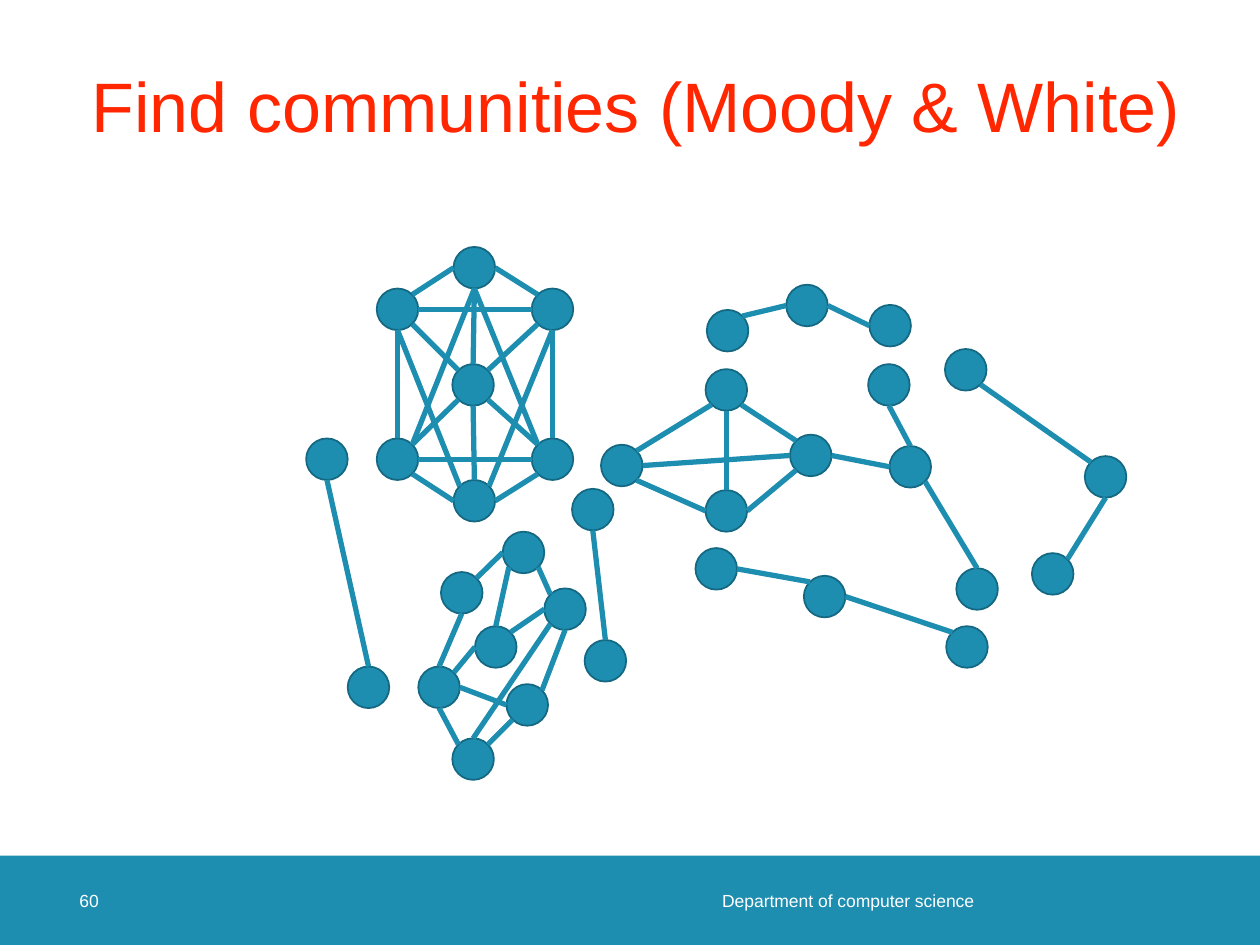
from dataclasses import dataclass
from math import sqrt
from typing import NamedTuple

from lxml import etree
from pptx import Presentation
from pptx.dml.color import RGBColor
from pptx.enum.shapes import MSO_CONNECTOR, MSO_SHAPE
from pptx.enum.text import MSO_ANCHOR, PP_ALIGN
from pptx.oxml.ns import qn
from pptx.util import Inches, Pt

STRAIGHT = MSO_CONNECTOR.STRAIGHT
RECTANGLE, OVAL = MSO_SHAPE.RECTANGLE, MSO_SHAPE.OVAL
MIDDLE = MSO_ANCHOR.MIDDLE
LEFT, RIGHT = PP_ALIGN.LEFT, PP_ALIGN.RIGHT


@dataclass(frozen=True)
class Theme:
    font: str = "Arial"
    teal: RGBColor = RGBColor(0x1D, 0x8D, 0xB0)
    dark_teal: RGBColor = RGBColor(0x15, 0x68, 0x82)
    red: RGBColor = RGBColor(0xFF, 0x26, 0x00)
    white: RGBColor = RGBColor(0xFF, 0xFF, 0xFF)
    title_size: int = 40
    footer_size: int = 10
    outline_width: int = 1
    edge_width: int = 3


THEME = Theme()
NODE_SIZE = 0.33
FOOTER_TOP, FOOTER_HEIGHT = 6.79, 0.71

# Compass points on a node's rim, as offsets from its centre in radii
DIAGONAL = 1 / sqrt(2)
RIM = {
    "N": (0, -1), "S": (0, 1), "W": (-1, 0), "E": (1, 0),
    "NW": (-DIAGONAL, -DIAGONAL), "NE": (DIAGONAL, -DIAGONAL),
    "SW": (-DIAGONAL, DIAGONAL), "SE": (DIAGONAL, DIAGONAL),
}


class Node(NamedTuple):
    left: float
    top: float

    def rim_point(self, side: str) -> tuple[float, float]:
        radius = NODE_SIZE / 2
        across, down = RIM[side]
        return self.left + radius * (1 + across), self.top + radius * (1 + down)


class Edge(NamedTuple):
    start: str
    start_side: str
    end: str
    end_side: str


class Community(NamedTuple):
    nodes: dict[str, Node]
    edges: list[Edge]


class Label(NamedTuple):
    text: str
    area: tuple[float, float, float, float]
    insets: tuple[float, float, float, float]
    size: int
    color: RGBColor
    align: PP_ALIGN = LEFT
    line_spacing: float = 1.0


def community(nodes: dict[str, tuple[float, float]], *edges: str) -> Community:
    """Each edge reads 'start side end side'."""
    return Community({name: Node(*place) for name, place in nodes.items()},
                     [Edge(*edge.split()) for edge in edges])


COMMUNITIES = [
    community(  # dense hexagon around a hub
        {"upper_left": (2.99, 2.29), "top": (3.6, 1.96), "upper_right": (4.22, 2.29),
         "hub": (3.59, 2.89), "lower_left": (2.99, 3.48), "lower_right": (4.22, 3.48),
         "bottom": (3.6, 3.81)},
        "upper_left NE top W", "upper_left E upper_right W", "upper_left SE hub NW",
        "upper_left S lower_left N", "lower_left NE hub SW", "hub NE upper_right SW",
        "top E upper_right NW", "upper_right S lower_right N", "lower_right NW hub SE",
        "lower_left E lower_right W", "lower_left SE bottom W", "lower_right SW bottom E",
        "bottom NE upper_right S", "bottom NW upper_left S", "top S lower_left NE",
        "top S lower_right NW", "hub S bottom N", "top S hub N"),
    community(  # looser group below the hexagon
        {"top": (3.99, 4.22), "upper_left": (3.5, 4.54), "upper_right": (4.32, 4.67),
         "middle": (3.77, 4.97), "lower_left": (3.32, 5.29), "lower_right": (4.02, 5.43),
         "bottom": (3.59, 5.86)},
        "lower_left N upper_left S", "upper_left NE top W", "top SE upper_right NW",
        "upper_right S lower_right NE", "lower_right SW bottom NE",
        "bottom N upper_right SW", "middle N top SW", "middle NE upper_right W",
        "lower_left NE middle W", "lower_left E lower_right W", "bottom NW lower_left S"),
    community(  # kite with a tail
        {"left": (4.77, 3.53), "top": (5.6, 2.93), "bottom": (5.6, 3.89),
         "right": (6.27, 3.45), "tail_top": (6.89, 2.89), "tail": (7.06, 3.54),
         "tail_end": (7.59, 4.51)},
        "left NE top SW", "left SE bottom W", "bottom N top S", "bottom E right SW",
        "top SE right NW", "left E right W", "right E tail W", "tail SE tail_end N",
        "tail_top S tail N"),
    community(  # lower chain
        {"first": (5.52, 4.35), "second": (6.38, 4.57), "third": (7.51, 4.97)},
        "first E second NW", "second E third NW"),
    community(  # upper chain
        {"first": (5.61, 2.46), "second": (6.24, 2.26), "third": (6.9, 2.42)},
        "first NE second W", "second E third W"),
    community(  # right chain
        {"first": (7.5, 2.77), "second": (8.61, 3.62), "third": (8.19, 4.39)},
        "second NW first SE", "third NE second S"),
    community({"upper": (2.43, 3.48), "lower": (2.76, 5.29)}, "upper S lower N"),
    community({"upper": (4.54, 3.88), "lower": (4.64, 5.08)}, "upper S lower N"),
]

LABELS = [
    Label("Department of computer science", (3.89, FOOTER_TOP, 4.04, FOOTER_HEIGHT),
          (0, 0, 0.2, 0), THEME.footer_size, THEME.white, RIGHT),
    Label("60", (0.63, FOOTER_TOP, 0.71, FOOTER_HEIGHT),
          (0, 0, 0, 0), THEME.footer_size, THEME.white),
    Label("Find communities (Moody & White)", (0.63, 0.24, 9.37, 1.26),
          (0.1, 0.05, 0.1, 0.05), THEME.title_size, THEME.red, line_spacing=0.9),
]


def draw_footer_band(slide) -> None:
    band = slide.shapes.add_shape(RECTANGLE, 0, Inches(FOOTER_TOP),
                                  Inches(10), Inches(FOOTER_HEIGHT))
    band.shadow.inherit = False
    band.fill.solid()
    band.fill.fore_color.rgb = THEME.teal
    band.line.fill.background()


def draw_label(slide, label: Label) -> None:
    box = slide.shapes.add_textbox(*map(Inches, label.area))
    frame = box.text_frame
    frame.word_wrap = True
    frame.vertical_anchor = MIDDLE
    (frame.margin_left, frame.margin_top,
     frame.margin_right, frame.margin_bottom) = map(Inches, label.insets)
    para = frame.paragraphs[0]
    para.alignment = label.align
    para.line_spacing = label.line_spacing
    span = para.add_run()
    span.text = label.text
    span.font.name = THEME.font
    span.font.size = Pt(label.size)
    span.font.color.rgb = label.color


def draw_node(slide, node: Node) -> None:
    circle = slide.shapes.add_shape(OVAL, Inches(node.left), Inches(node.top),
                                    Inches(NODE_SIZE), Inches(NODE_SIZE))
    circle.shadow.inherit = False
    circle.fill.solid()
    circle.fill.fore_color.rgb = THEME.teal
    circle.line.color.rgb = THEME.dark_teal
    circle.line.width = Pt(THEME.outline_width)


def draw_edge(slide, start: tuple[float, float], end: tuple[float, float]) -> None:
    line = slide.shapes.add_connector(STRAIGHT, *map(Inches, start + end))
    line.line.color.rgb = THEME.teal
    line.line.width = Pt(THEME.edge_width)
    etree.SubElement(line._element.spPr, qn("a:effectLst"))


def draw_community(slide, group: Community) -> None:
    for node in group.nodes.values():
        draw_node(slide, node)
    for edge in group.edges:
        draw_edge(slide, group.nodes[edge.start].rim_point(edge.start_side),
                  group.nodes[edge.end].rim_point(edge.end_side))


def main() -> None:
    deck = Presentation()
    deck.slide_width, deck.slide_height = Inches(10), Inches(7.5)
    page = deck.slides.add_slide(deck.slide_layouts[6])
    draw_footer_band(page)
    for label in LABELS:
        draw_label(page, label)
    for group in COMMUNITIES:
        draw_community(page, group)
    deck.save("out.pptx")


if __name__ == "__main__":
    main()
